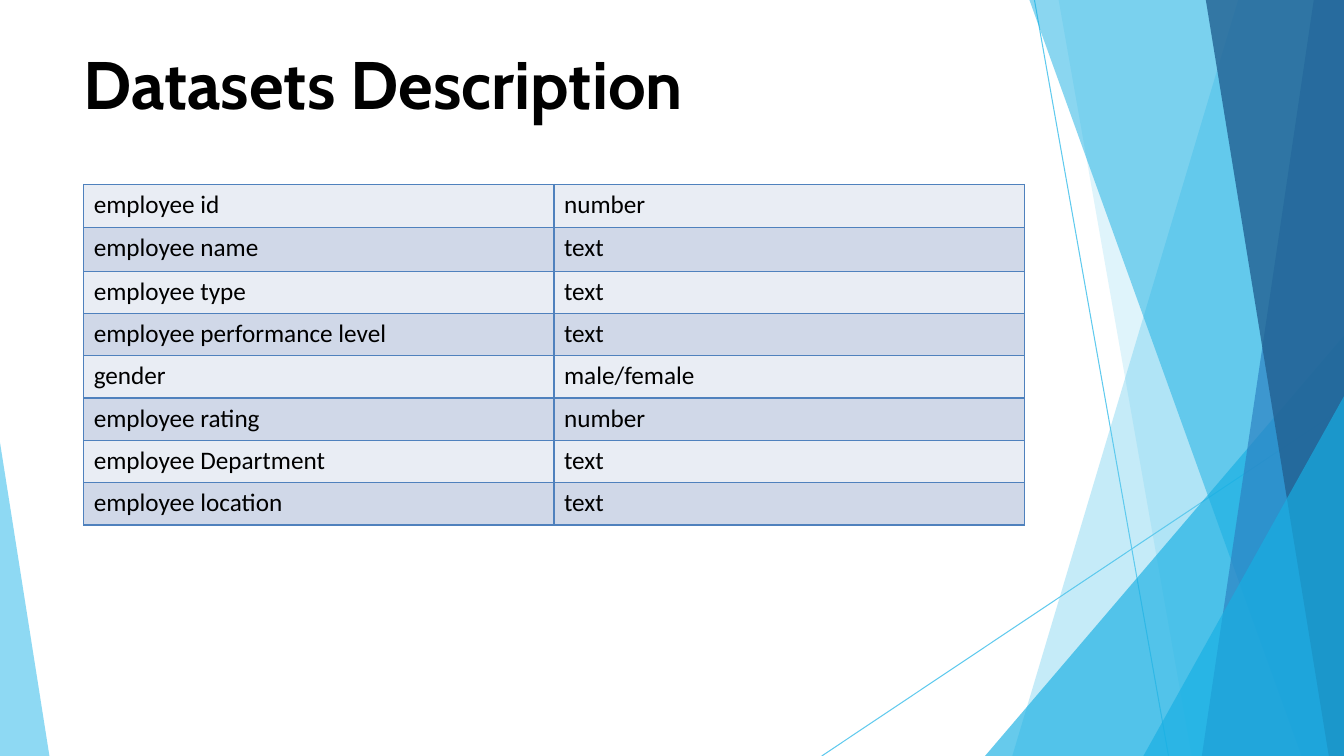
from lxml import etree
from pptx import Presentation
from pptx import util as u
from pptx.dml.color import RGBColor
from pptx.enum import shapes, text
from pptx.oxml import ns
from pptx.util import Inches

COLORS = {
    "black": "000000",
    "sky": "5FCAEE",
    "cyan": "17AFE3",
    "blue": "2D83C3",
    "navy": "226192",
    "border": "4F81BD",
    "light_row": "E9EDF4",
    "dark_row": "D0D8E8",
}
WIDTH, HEIGHT = 13.33, 7.5

# Thin lines: start and end
LINES = [((10.26, 0), (11.59, HEIGHT)), ((WIDTH, 4.04), (8.15, HEIGHT))]

# Translucent facets, back to front: colour, opacity in percent, corners
BOTTOM_RIGHT = (WIDTH, HEIGHT)
FACETS = [
    ("sky", 36, [(WIDTH, 0), (12.28, 0), (10.04, HEIGHT), BOTTOM_RIGHT]),
    ("sky", 20, [(WIDTH, 0), (10.5, 0), (11.82, HEIGHT), BOTTOM_RIGHT]),
    ("cyan", 66, [(WIDTH, 3.33), (9.77, HEIGHT), BOTTOM_RIGHT]),
    ("cyan", 50, [(WIDTH, 0), (10.21, 0), (12.91, HEIGHT), BOTTOM_RIGHT]),
    ("blue", 70, [(WIDTH, 0), (13.03, 0), (11.92, HEIGHT), BOTTOM_RIGHT]),
    ("navy", 80, [(WIDTH, 0), (11.96, 0), (13.18, HEIGHT), BOTTOM_RIGHT]),
    ("cyan", 66, [(WIDTH, 3.93), (11.34, HEIGHT), BOTTOM_RIGHT]),
    ("sky", 70, [(0, 4.39), (0, HEIGHT), (0.49, HEIGHT)]),
]

FIELDS = [
    ("employee id", "number"),
    ("employee name", "text"),
    ("employee type", "text"),
    ("employee performance level", "text"),
    ("gender", "male/female"),
    ("employee rating", "number"),
    ("employee Department", "text"),
    ("employee location", "text"),
]


def color(name):
    return RGBColor.from_string(COLORS[name])


def set_font(para, name, size, bold=False):
    para.font.name = name
    para.font.size = u.Pt(size)
    para.font.bold = bold
    para.font.color.rgb = color("black")


def add_line(page, start, end):
    line = page.shapes.add_connector(
        shapes.MSO_CONNECTOR.STRAIGHT, *map(Inches, start + end))
    line.line.color.rgb = color("sky")
    line.line.width = u.Pt(0.75)
    etree.SubElement(line.element.spPr, ns.qn("a:effectLst"))


def add_facet(page, fill, opacity, corners):
    points = [(Inches(x), Inches(y)) for x, y in corners]
    builder = page.shapes.build_freeform(*points[0])
    builder.add_line_segments(points[1:], close=True)
    facet = builder.convert_to_shape()
    facet.shadow.inherit = False
    facet.line.fill.background()
    facet.fill.solid()
    facet.fill.fore_color.rgb = color(fill)
    tint = facet.element.spPr.find(".//" + ns.qn("a:srgbClr"))
    etree.SubElement(tint, ns.qn("a:alpha"), val=str(opacity * 1000))


def format_title(page, wording):
    title = page.shapes.title
    title.left, title.top = Inches(0.83), Inches(0.42)
    title.width, title.height = Inches(11.68), Inches(0.81)
    frame = title.text_frame
    frame.margin_left = frame.margin_right = 0
    frame.margin_top = frame.margin_bottom = 0
    frame.vertical_anchor = text.MSO_ANCHOR.TOP
    frame.auto_size = text.MSO_AUTO_SIZE.SHAPE_TO_FIT_TEXT
    frame.text = wording
    para = frame.paragraphs[0]
    para.alignment = text.PP_ALIGN.LEFT
    set_font(para, "Cabin", 48, bold=True)
    # Bring the title in front of the facets
    page.shapes.element.append(title.element)


def set_borders(cell):
    properties = cell._tc.get_or_add_tcPr()
    for side in ("lnL", "lnR", "lnT", "lnB"):
        border = etree.SubElement(
            properties, ns.qn("a:" + side), w=str(u.Pt(1)))
        fill = etree.SubElement(border, ns.qn("a:solidFill"))
        etree.SubElement(fill, ns.qn("a:srgbClr"), val=COLORS["border"])


def add_field_table(page, fields):
    table = page.shapes.add_table(
        len(fields), 2, Inches(0.83), Inches(1.83),
        Inches(9.33), Inches(3.38)).table
    table.first_row = table.horz_banding = False
    for index, field in enumerate(fields):
        table.rows[index].height = Inches(0.43 if index < 2 else 0.42)
        for column, wording in enumerate(field):
            cell = table.cell(index, column)
            cell.text = wording
            set_font(cell.text_frame.paragraphs[0], "Calibri", 18)
            set_borders(cell)
            cell.fill.solid()
            cell.fill.fore_color.rgb = color(
                "dark_row" if index % 2 else "light_row")


def main():
    deck = Presentation()
    deck.slide_width, deck.slide_height = Inches(WIDTH), Inches(HEIGHT)
    page = deck.slides.add_slide(deck.slide_layouts.get_by_name("Title Only"))

    # Background decoration
    for start, end in LINES:
        add_line(page, start, end)
    for fill, opacity, corners in FACETS:
        add_facet(page, fill, opacity, corners)

    # Content
    format_title(page, "Datasets Description")
    add_field_table(page, FIELDS)
    deck.save("out.pptx")


if __name__ == "__main__":
    main()
